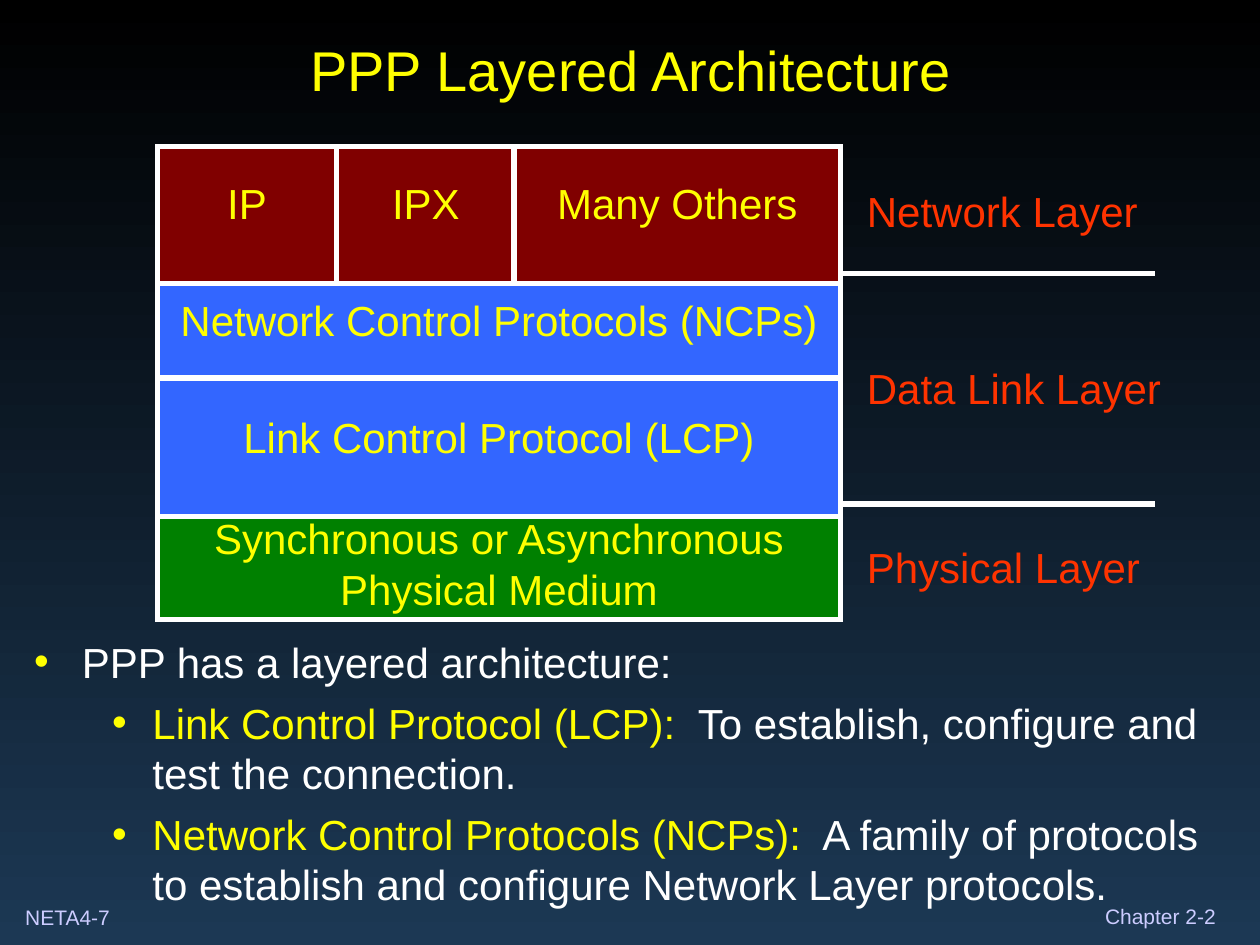
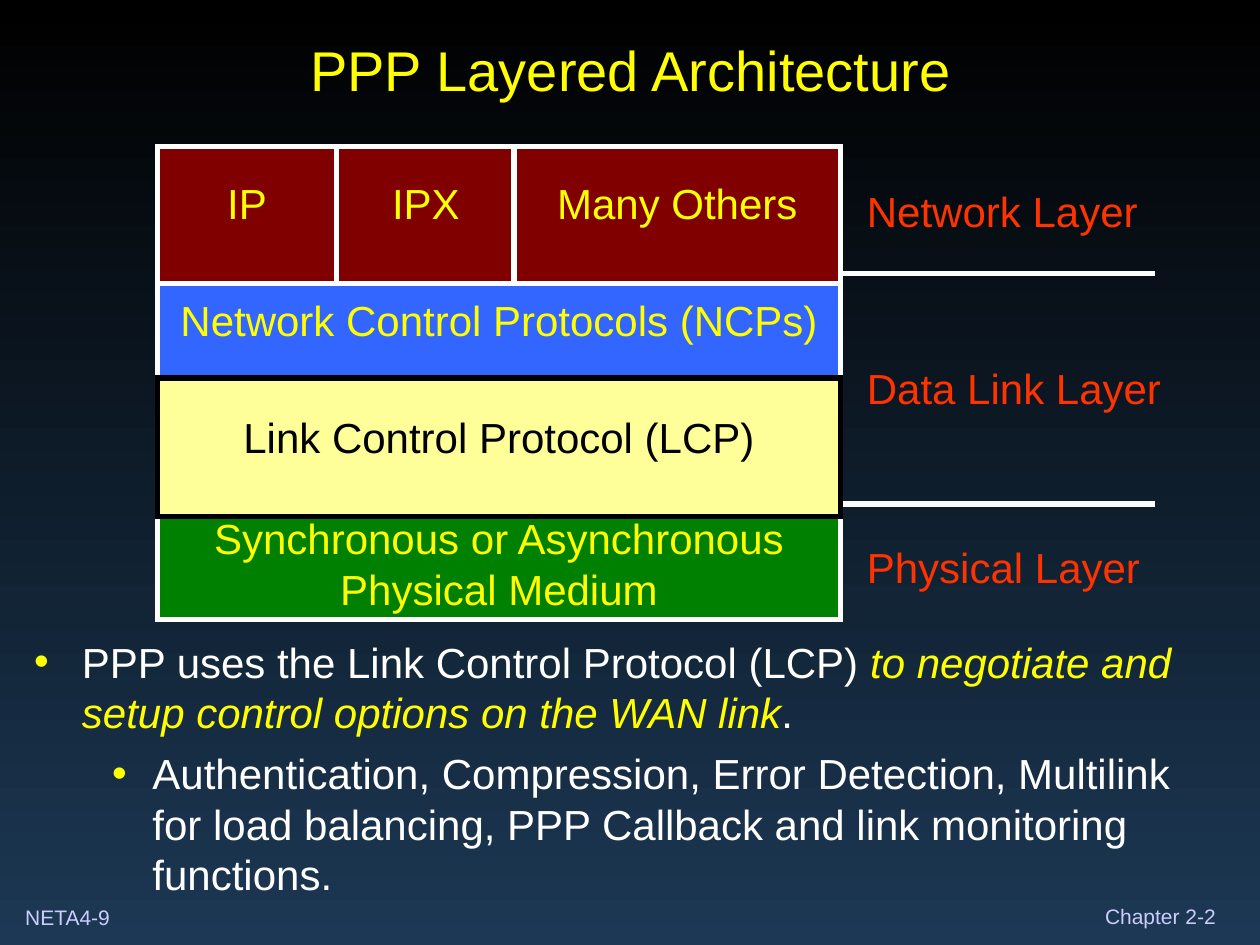
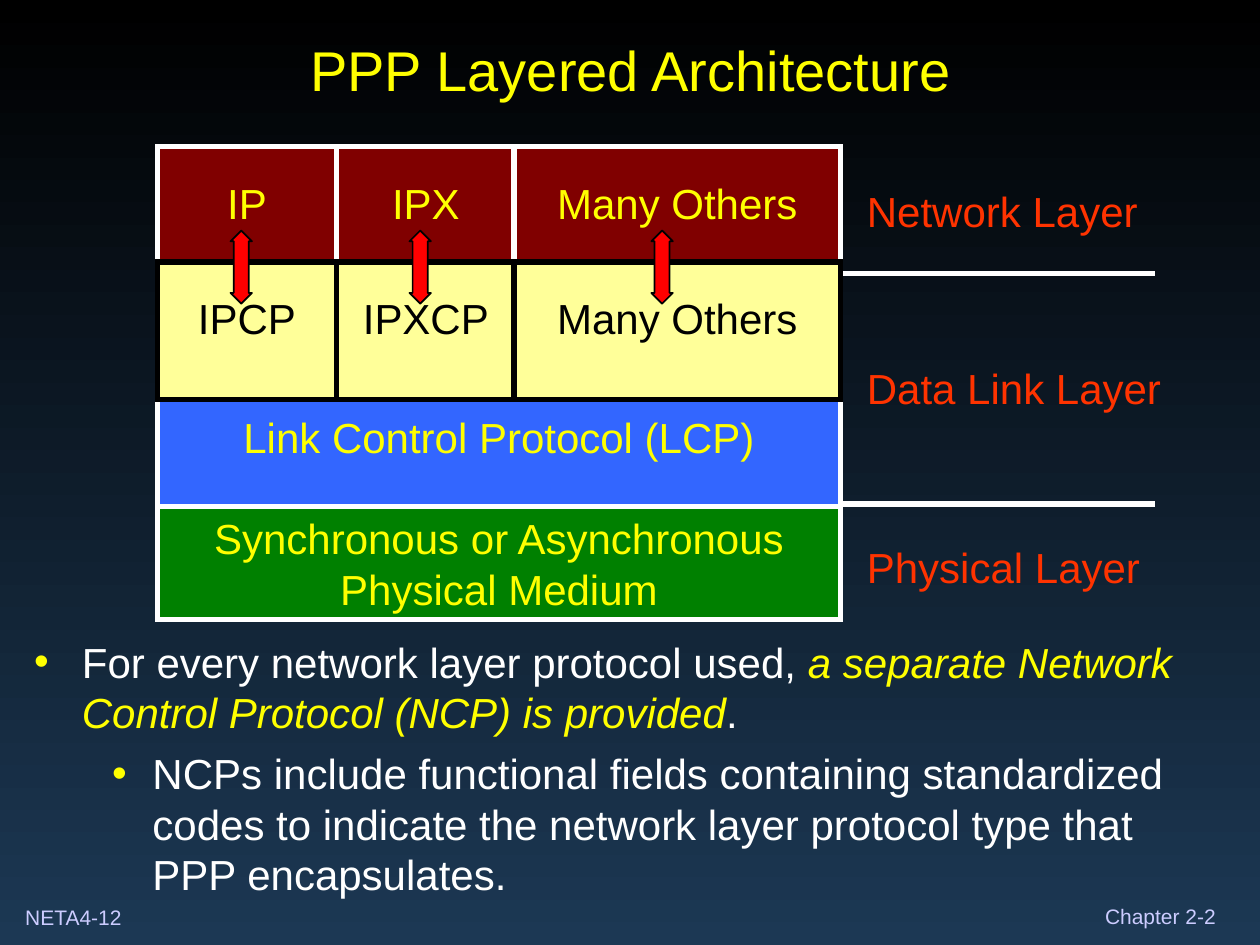
from lxml import etree
from pptx import Presentation
from pptx.dml.color import RGBColor
from pptx.enum.shapes import MSO_CONNECTOR, MSO_SHAPE
from pptx.enum.text import MSO_ANCHOR, MSO_AUTO_SIZE, PP_ALIGN
from pptx.oxml.ns import qn
from pptx.util import Inches, Pt

# Shared colours and type
BLACK, WHITE, YELLOW = "000000", "FFFFFF", "FFFF00"
MAROON, BLUE, GREEN = "800000", "3366FF", "008000"
HIGHLIGHT, ORANGE, RED = "FFFF99", "FF3300", "FF0000"
NIGHT, LAVENDER = "1C3854", "CCCCFF"
FONT = "Arial"

rgb = RGBColor.from_string


def add_run(paragraph, text, size, color, italic=False):
    run = paragraph.add_run()
    run.text = text
    run.font.name = FONT
    run.font.size = Pt(size)
    run.font.italic = italic
    run.font.color.rgb = rgb(color)


def add_label(slide, text, left, top, width, height, size, color):
    frame = slide.shapes.add_textbox(
        Inches(left), Inches(top), Inches(width), Inches(height)).text_frame
    frame.word_wrap = True
    frame.margin_left = frame.margin_right = 0
    add_run(frame.paragraphs[0], text, size, color)


# Stack geometry: the same three columns serve the split rows
STACK_LEFT, STACK_WIDTH = 1.25, 5.42
COLUMNS = [(1.25, 1.42), (2.67, 1.42), (4.08, 2.59)]
FULL_ROW = [(STACK_LEFT, STACK_WIDTH)]
LABEL_LEFT, LABEL_WIDTH = 6.88, 2.42
SEPARATORS = [2.17, 4]
LAYER_LABELS = [("Network Layer", 1.42), ("Data Link Layer", 2.83),
                ("Physical Layer", 4.25)]
ARROW_LEFTS = [1.83, 3.25, 5.17]

# Rows: names, columns, top, height, fill, outline, text colour, bottom inset
physical = (["Synchronous or Asynchronous\nPhysical Medium"], FULL_ROW,
            4.02, 0.9, GREEN, WHITE, YELLOW, 0.05)
ncp = (["Network Control Protocols (NCPs)"], FULL_ROW,
       2.09, 1.1, BLUE, WHITE, YELLOW, 0.25)
network = (["IP", "IPX", "Many Others"], COLUMNS,
           1.16, 1.09, MAROON, WHITE, YELLOW, 0.25)
lcp = (["Link Control Protocol (LCP)"], FULL_ROW,
       3, 1.1, BLUE, WHITE, YELLOW, 0.22)
lcp_highlighted = (*lcp[:4], HIGHLIGHT, BLACK, BLACK, 0.22)
ncp_split = (["IPCP", "IPXCP", "Many Others"], COLUMNS,
             2.08, 1.09, HIGHLIGHT, BLACK, BLACK, 0.25)

# Slides: number, rows from back to front, arrows, bullets as (level, runs)
SLIDES = [
    ("NETA4-7", [physical, ncp, network, lcp], [], [
        (0, [("PPP has a layered architecture:", WHITE, False)]),
        (1, [("Link Control Protocol (LCP):", YELLOW, False),
             ("  To establish, configure and test the connection.",
              WHITE, False)]),
        (1, [("Network Control Protocols (NCPs):", YELLOW, False),
             ("  A family of protocols to establish and configure "
              "Network Layer protocols.", WHITE, False)]),
    ]),
    ("NETA4-9", [physical, ncp, network, lcp_highlighted], [], [
        (0, [("PPP uses the Link Control Protocol (LCP) ", WHITE, False),
             ("to negotiate and setup control options on the WAN link",
              YELLOW, True),
             (".", WHITE, False)]),
        (1, [("Authentication, Compression, Error Detection, Multilink for "
              "load balancing, PPP Callback and link monitoring functions.",
              WHITE, False)]),
    ]),
    ("NETA4-12", [lcp, network, physical, ncp_split], ARROW_LEFTS, [
        (0, [("For every network layer protocol used, ", WHITE, False),
             ("a separate Network Control Protocol (NCP) is provided",
              YELLOW, True),
             (".", WHITE, False)]),
        (1, [("NCPs include functional fields containing standardized codes "
              "to indicate the network layer protocol type that PPP "
              "encapsulates.", WHITE, False)]),
    ]),
]
BULLET_INDENTS = [(0.38, -0.38), (0.94, -0.32)]

presentation = Presentation()
presentation.slide_width = Inches(10)
presentation.slide_height = Inches(7.5)

# Background shared through the master
background = presentation.slide_master.background.fill
background.gradient()
background.gradient_angle = 270
for stop, color in zip(background.gradient_stops, [BLACK, NIGHT]):
    stop.color.rgb = rgb(color)

for number, rows, arrow_lefts, bullets in SLIDES:
    slide = presentation.slides.add_slide(presentation.slide_layouts[1])

    # Footers
    add_label(slide, number, 0.2, 7.13, 0.97, 0.3, 12, LAVENDER)
    add_label(slide, "Chapter 2-2", 8.77, 7.12, 0.92, 0.3, 12, LAVENDER)

    # Title and body placeholders
    title, body = slide.placeholders
    for placeholder, top, height, anchor in [
            (title, 0.17, 0.75, MSO_ANCHOR.MIDDLE),
            (body, 5, 2.33, MSO_ANCHOR.TOP)]:
        placeholder.left, placeholder.top = Inches(0.17), Inches(top)
        placeholder.width, placeholder.height = Inches(9.67), Inches(height)
        placeholder.text_frame.vertical_anchor = anchor
        placeholder.text_frame.auto_size = MSO_AUTO_SIZE.NONE
    heading = title.text_frame.paragraphs[0]
    heading.alignment = PP_ALIGN.CENTER
    add_run(heading, "PPP Layered Architecture", 32, YELLOW)

    # Bullets
    for index, (level, runs) in enumerate(bullets):
        frame = body.text_frame
        paragraph = frame.add_paragraph() if index else frame.paragraphs[0]
        paragraph.level = level
        paragraph.space_before = Pt(6 if index else 0)
        properties = paragraph._p.get_or_add_pPr()
        margin, indent = BULLET_INDENTS[level]
        properties.set("marL", str(Inches(margin)))
        properties.set("indent", str(Inches(indent)))
        bullet_color = etree.SubElement(properties, qn("a:buClr"))
        etree.SubElement(bullet_color, qn("a:srgbClr"), val=YELLOW)
        etree.SubElement(properties, qn("a:buChar"), char="•")
        for text, color, italic in runs:
            add_run(paragraph, text, 24, color, italic)

    # Layer names and the lines between them
    for text, top in LAYER_LABELS:
        add_label(slide, text, LABEL_LEFT, top, LABEL_WIDTH, 0.5, 24, ORANGE)
    for y in SEPARATORS:
        separator = slide.shapes.add_connector(
            MSO_CONNECTOR.STRAIGHT,
            Inches(6.67), Inches(y), Inches(9.17), Inches(y))
        separator.line.color.rgb = rgb(WHITE)
        separator.line.width = Pt(3)
        etree.SubElement(separator._element.spPr, qn("a:effectLst"))

    # Protocol stack with square outline corners
    for names, columns, top, height, fill, outline, color, inset in rows:
        for name, (left, width) in zip(names, columns):
            box = slide.shapes.add_shape(
                MSO_SHAPE.RECTANGLE,
                Inches(left), Inches(top), Inches(width), Inches(height))
            box.shadow.inherit = False
            box.fill.solid()
            box.fill.fore_color.rgb = rgb(fill)
            box.line.color.rgb = rgb(outline)
            box.line.width = Pt(3)
            etree.SubElement(box._element.spPr.find(qn("a:ln")),
                             qn("a:miter"), lim="800000")
            frame = box.text_frame
            frame.word_wrap = True
            frame.vertical_anchor = MSO_ANCHOR.MIDDLE
            frame.margin_left = frame.margin_right = 0
            frame.margin_bottom = Inches(inset)
            paragraph = frame.paragraphs[0]
            paragraph.alignment = PP_ALIGN.CENTER
            for index, line in enumerate(name.split("\n")):
                if index:
                    paragraph.add_line_break()
                add_run(paragraph, line, 24, color)

    # Arrows joining each protocol to its control protocol
    for left in arrow_lefts:
        arrow = slide.shapes.add_shape(
            MSO_SHAPE.UP_DOWN_ARROW,
            Inches(left), Inches(1.83), Inches(0.17), Inches(0.58))
        arrow.adjustments[0] = 0.5
        arrow.adjustments[1] = 0.7
        arrow.shadow.inherit = False
        arrow.fill.solid()
        arrow.fill.fore_color.rgb = rgb(RED)
        arrow.line.color.rgb = rgb(BLACK)
        arrow.line.width = Pt(1)

presentation.save("out.pptx")
